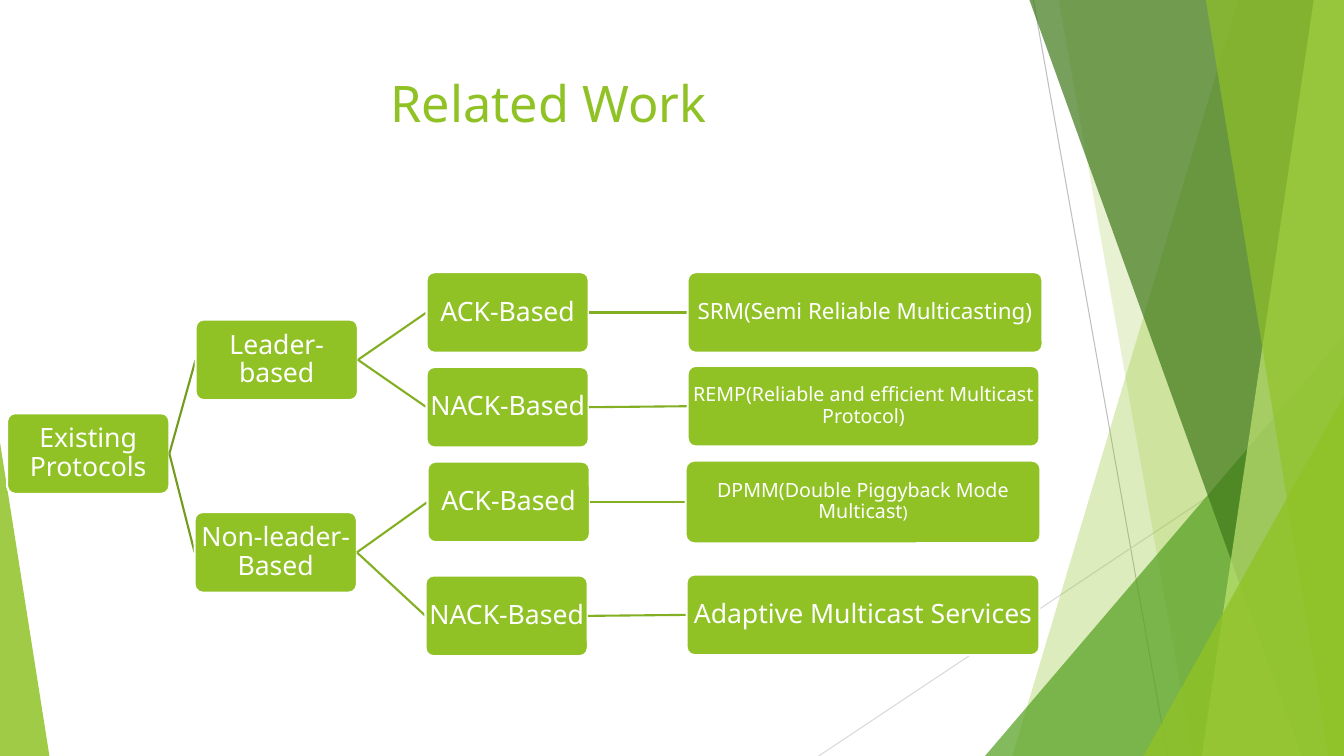
import pptx
import pptx.util
import pptx.dml.color
import pptx.enum.shapes
import pptx.enum.text
import pptx.oxml.ns
from lxml import etree

Inches = pptx.util.Inches
Pt = pptx.util.Pt
RGBColor = pptx.dml.color.RGBColor
Shapes = pptx.enum.shapes.MSO_SHAPE
Anchor = pptx.enum.text.MSO_ANCHOR

LIME = RGBColor(0x90, 0xC2, 0x26)
PALE_LIME = RGBColor(0xC0, 0xE4, 0x74)
GREEN = RGBColor(0x54, 0xA0, 0x21)
DARK_GREEN = RGBColor(0x3F, 0x78, 0x19)
ROOT_LINK = RGBColor(0x73, 0x9B, 0x1E)
BRANCH_LINK = RGBColor(0x83, 0xB0, 0x22)
GRAY = RGBColor(0xBF, 0xBF, 0xBF)
LIGHT_GRAY = RGBColor(0xD9, 0xD9, 0xD9)
WHITE = RGBColor(0xFF, 0xFF, 0xFF)
FONT = "Noto Sans"
SLIDE_W, SLIDE_H = 13.33, 7.5


def write(frame, runs, color=WHITE, spacing=None, inset=None, anchor=Anchor.MIDDLE):
    """Fill a text frame with one centred paragraph of (text, size) runs."""
    frame.word_wrap = True
    frame.auto_size = pptx.enum.text.MSO_AUTO_SIZE.NONE
    frame.vertical_anchor = anchor
    if inset is not None:
        frame.margin_left = frame.margin_right = Inches(inset)
        frame.margin_top = frame.margin_bottom = Inches(inset)
    paragraph = frame.paragraphs[0]
    paragraph.alignment = pptx.enum.text.PP_ALIGN.CENTER
    paragraph.line_spacing = spacing
    for text, size in runs:
        run = paragraph.add_run()
        run.text = text
        run.font.size = Pt(size)
        run.font.name = FONT
        run.font.color.rgb = color


def draw_line(slide, start, end, color, width):
    line = slide.shapes.add_connector(
        pptx.enum.shapes.MSO_CONNECTOR.STRAIGHT, *map(Inches, (*start, *end)))
    line.line.color.rgb = color
    line.line.width = Pt(width)
    etree.SubElement(line._element.spPr, pptx.oxml.ns.qn("a:effectLst"))


def tint(shape, color, opacity):
    """Give a facet a see-through fill and no outline."""
    shape.shadow.inherit = False
    shape.fill.solid()
    shape.fill.fore_color.rgb = color
    shape.line.fill.background()
    srgb = shape._element.spPr.find(".//" + pptx.oxml.ns.qn("a:srgbClr"))
    alpha = etree.SubElement(srgb, pptx.oxml.ns.qn("a:alpha"))
    alpha.set("val", str(opacity * 1000))


def draw_band(slide, box, top_x, bottom_x, color, opacity):
    """Band from a slanted left edge to the right edge of the box."""
    left, top, width, height = box
    right, bottom = left + width, top + height
    corners = [(left + top_x, top), (right, top), (right, bottom), (left + bottom_x, bottom)]
    points = [(Inches(x), Inches(y)) for x, y in corners]
    builder = slide.shapes.build_freeform(*points[0])
    builder.add_line_segments(points[1:], close=True)
    tint(builder.convert_to_shape(), color, opacity)


def draw_wedge(slide, box, apex, width, height, color, opacity):
    """Right triangle in a bottom corner: apex 0 is left, 1 is right."""
    left = box[0] + apex * (box[2] - width)
    top = box[1] + box[3] - height
    wedge = slide.shapes.add_shape(
        Shapes.ISOSCELES_TRIANGLE, *map(Inches, (left, top, width, height)))
    wedge.adjustments[0] = apex
    tint(wedge, color, opacity)


def add_facets(slide, box):
    left, top, width, height = box
    bottom = top + height
    draw_line(slide, (left + 10.25, top), (left + 11.58, bottom), GRAY, 0.75)
    draw_line(slide, (left + width, top + 4.03), (left + 8.12, bottom), LIGHT_GRAY, 0.75)
    draw_band(slide, box, 12.28, 10.04, LIME, 30)
    draw_band(slide, box, 10.5, 11.83, LIME, 20)
    draw_wedge(slide, box, 1, 3.56, 4.17, GREEN, 72)
    draw_band(slide, box, 10.21, 12.91, DARK_GREEN, 70)
    draw_band(slide, box, 13.03, 11.92, PALE_LIME, 70)
    draw_band(slide, box, 11.96, 13.18, LIME, 65)
    draw_wedge(slide, box, 1, 1.99, 3.57, LIME, 80)
    draw_wedge(slide, box, 0, 0.49, 3.11, LIME, 85)


def add_title(slide, box, text):
    title = slide.shapes.title
    title.left, title.top, title.width, title.height = map(Inches, box)
    write(title.text_frame, [(text, 36)], color=LIME, anchor=Anchor.TOP)


def node(runs, x, y, *children, width=1.61, height=0.8):
    if isinstance(runs, str):
        runs = [(runs, 19)]
    return runs, x, y, width, height, children


def add_tree(slide, box, branch, link_color=ROOT_LINK):
    """Draw a node, then its links and child nodes."""
    runs, x, y, width, height, children = branch
    left, top = box[0] + x, box[1] + y
    card = slide.shapes.add_shape(
        Shapes.ROUNDED_RECTANGLE, *map(Inches, (left, top, width, height)))
    card.adjustments[0] = 0.1
    card.shadow.inherit = False
    card.fill.solid()
    card.fill.fore_color.rgb = LIME
    card.line.color.rgb = WHITE
    card.line.width = Pt(1.5)
    write(card.text_frame, runs, spacing=0.9, inset=0.01)
    for child in children:
        child_end = (box[0] + child[1], box[1] + child[2] + child[4] / 2)
        draw_line(slide, (left + width, top + height / 2), child_end, link_color, 1.5)
        add_tree(slide, box, child, BRANCH_LINK)


# Protocol tree, offsets measured from the diagram's corner
srm = node([("SRM(Semi Reliable Multicasting)", 16)], 6.75, 0, width=3.52)
remp = node([("REMP(Reliable and efficient Multicast Protocol)", 14)], 6.75, 0.93, width=3.49)
dpmm = node([("DPMM(Double Piggyback Mode Multicast", 14), (")", 12)],
            6.73, 1.87, width=3.52, height=0.82)
adaptive = node("Adaptive Multicast Services", 6.74, 3, width=3.5)
leader = node("Leader-based", 1.87, 0.47,
              node("ACK-Based", 4.16, 0, srm),
              node("NACK-Based", 4.16, 0.94, remp))
non_leader = node("Non-leader-Based", 1.86, 2.38,
                  node("ACK-Based", 4.17, 1.88, dpmm),
                  node("NACK-Based", 4.15, 3.01, adaptive))
protocols = node("Existing Protocols", 0, 1.4, leader, non_leader)

# Slide
deck = pptx.Presentation()
deck.slide_width, deck.slide_height = Inches(SLIDE_W), Inches(SLIDE_H)
slide = deck.slides.add_slide(deck.slide_layouts[5])
add_facets(slide, (0, 0, SLIDE_W, SLIDE_H))
add_title(slide, (0.74, 0.67, 9.4, 1.44), "Related Work")
add_tree(slide, (0.07, 2.7, 10.27, 3.81), protocols)
deck.save("out.pptx")
